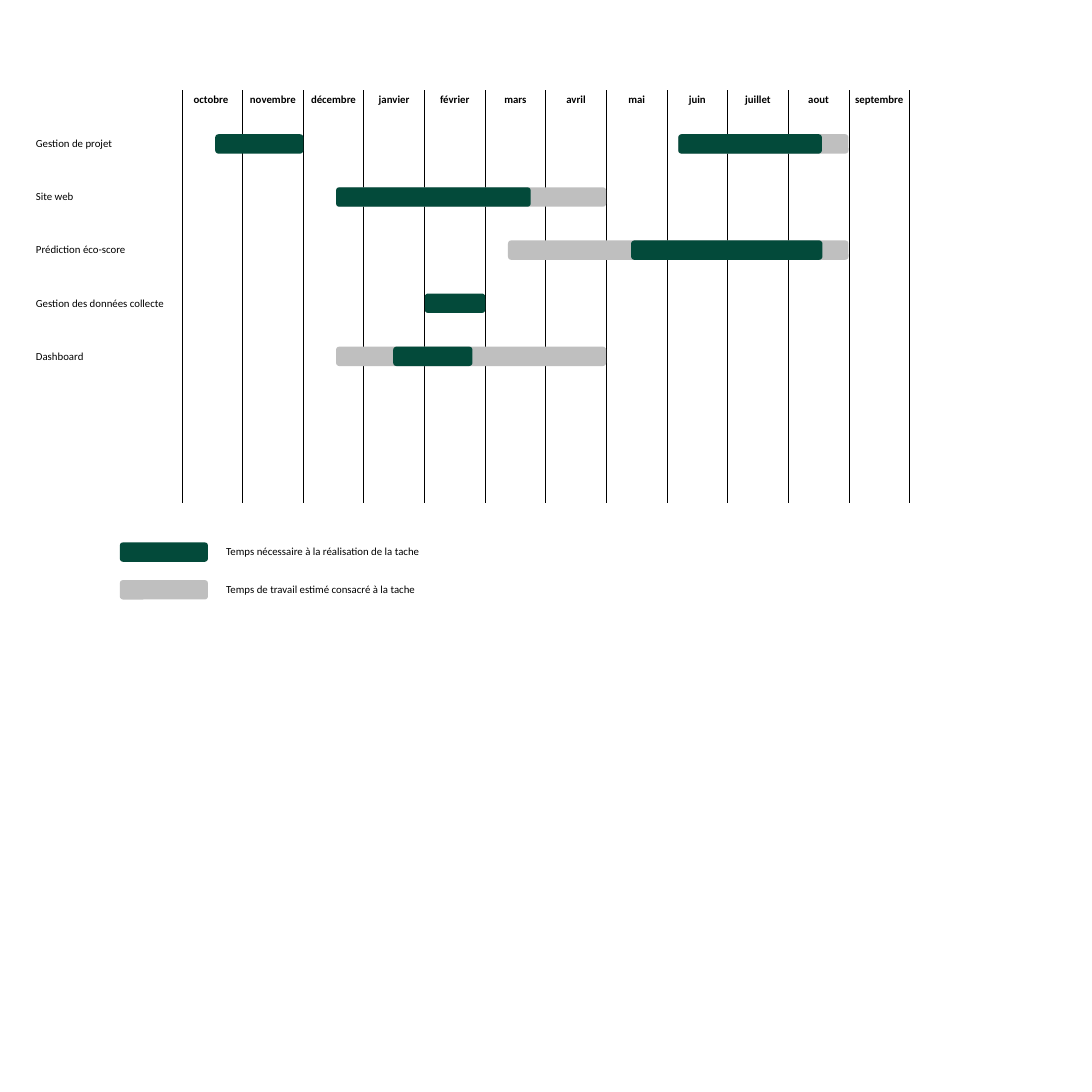
from lxml import etree
from pptx import Presentation
from pptx import util as u
from pptx.dml.color import RGBColor
from pptx.enum import shapes, text
from pptx.oxml import ns

COLORS = {"ink": "000000", "paper": "FFFFFF", "need": "034A3A", "plan": "BFBFBF"}
MONTHS = ["octobre ", "novembre", "décembre", "janvier", "février", "mars",
          "avril", "mai", "juin", "juillet", "aout", "septembre"]
TASKS = [
    ("Gestion de projet", [("need", 3.88, 1.59), ("plan", 12.23, 3.07), ("need", 12.23, 2.59)]),
    ("Site web", [("plan", 6.06, 4.87), ("need", 6.06, 3.51)]),
    ("Prédiction éco-score", [("plan", 9.16, 6.14), ("need", 11.38, 3.45)]),
    ("Gestion des données collecte", [("need", 7.66, 1.09)]),
    ("Dashboard", [("plan", 6.06, 4.87), ("need", 7.09, 1.43)]),
]
LEGEND = [
    ("need", "Temps nécessaire à la réalisation de la tache"),
    ("plan", "Temps de travail estimé consacré à la tache"),
]
BORDERS = {"lnL": ("ink", 1), "lnR": ("ink", 1), "lnT": ("paper", 1), "lnB": ("paper", 3)}
SIZE = 19.69
HEIGHT = 0.35
FIRST = 2.42
LAST = 6.25


def tint(name):
    return RGBColor.from_string(COLORS[name])


def apply(item, style):
    for key, value in style.items():
        setattr(item, key, value)


class Chart:
    font = {"name": "Calibri", "size": u.Pt(14)}
    plain = {"first_row": False, "horz_banding": False}
    inset = {"margin_left": u.Inches(0.05), "margin_right": u.Inches(0.05)}
    frame = {"word_wrap": True, "auto_size": text.MSO_AUTO_SIZE.SHAPE_TO_FIT_TEXT}

    def __init__(self, slide):
        self.slide = slide

    def letter(self, frame, words, bold=False, align=text.PP_ALIGN.LEFT):
        line = frame.paragraphs[0]
        line.alignment = align
        run = line.add_run()
        run.text = words
        apply(run.font, {**self.font, "bold": bold})
        run.font.color.rgb = tint("ink")

    def label(self, words, left, top, width):
        box = self.slide.shapes.add_textbox(*map(u.Inches, (left, top, width, HEIGHT)))
        apply(box.text_frame, self.frame)
        self.letter(box.text_frame, words)

    def bar(self, color, left, top, width):
        bar = self.slide.shapes.add_shape(
            shapes.MSO_SHAPE.ROUNDED_RECTANGLE, *map(u.Inches, (left, top, width, HEIGHT)))
        bar.shadow.inherit = False
        bar.fill.solid()
        bar.fill.fore_color.rgb = tint(color)
        bar.line.fill.background()

    def edge(self, cell):
        props = cell._tc.get_or_add_tcPr()
        for side, (color, width) in BORDERS.items():
            line = etree.SubElement(props, ns.qn(f"a:{side}"), w=str(u.Pt(width)))
            fill = etree.SubElement(line, ns.qn("a:solidFill"))
            etree.SubElement(fill, ns.qn("a:srgbClr"), val=COLORS[color])

    def grid(self, names, left, top, width, height):
        table = self.slide.shapes.add_table(
            1, len(names), *map(u.Inches, (left, top, width, height))).table
        apply(table, self.plain)
        for name, cell in zip(names, table.iter_cells()):
            apply(cell, self.inset)
            self.edge(cell)
            cell.fill.solid()
            cell.fill.fore_color.rgb = tint("paper")
            self.letter(cell.text_frame, name, True, text.PP_ALIGN.CENTER)


def main():
    deck = Presentation()
    apply(deck, {"slide_width": u.Inches(SIZE), "slide_height": u.Inches(SIZE)})
    chart = Chart(deck.slides.add_slide(deck.slide_layouts[6]))
    chart.grid(MONTHS, 3.28, 1.63, 13.12, 7.43)
    step = (LAST - FIRST) / (len(TASKS) - 1)
    for row, (name, bars) in enumerate(TASKS):
        top = FIRST + row * step
        chart.label(name, 0.55, top, 2.73)
        for color, left, width in bars:
            chart.bar(color, left, top, width)
    for row, (color, words) in enumerate(LEGEND):
        top = 9.78 + row * 0.68
        chart.bar(color, 2.16, top, 1.59)
        chart.label(words, 3.98, top, 5.02)
    deck.save("out.pptx")


if __name__ == "__main__":
    main()
